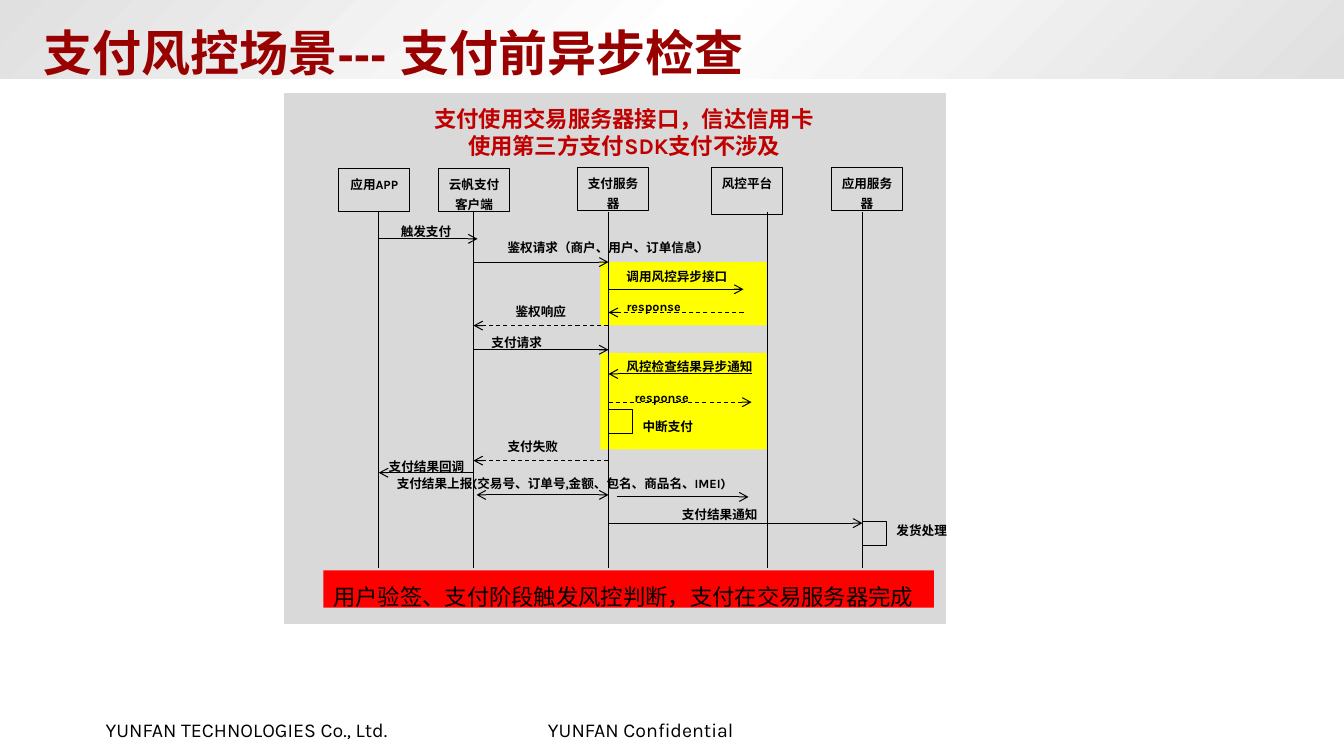
"""Build the payment risk-control sequence diagram slide."""
from copy import deepcopy
from dataclasses import dataclass

from lxml.etree import SubElement
from pptx import Presentation
from pptx.dml.color import RGBColor
from pptx.enum.dml import MSO_LINE_DASH_STYLE as DASH
from pptx.enum.lang import MSO_LANGUAGE_ID as LANG
from pptx.enum.shapes import MSO_CONNECTOR as CONN, MSO_SHAPE as SHAPE
from pptx.enum.text import MSO_ANCHOR, MSO_AUTO_SIZE, PP_ALIGN
from pptx.oxml.ns import qn
from pptx.util import Inches, Pt


@dataclass(frozen=True)
class Theme:
    black: str = "000000"
    white: str = "FFFFFF"
    title: str = "990000"
    heading: str = "C00000"
    panel: str = "D9D9D9"
    highlight: str = "FFFF00"
    banner: str = "FF0000"
    edge: str = "E0E0E0"
    font: str = "Karla"
    title_font: str = "Arial"
    cjk_font: str = "Noto Sans CJK SC"
    title_size: int = 35
    heading_size: int = 16
    footer_size: int = 14
    label_size: int = 9
    line_width: float = 0.75
    spacing: float = 1.3


T = Theme()
TITLE = "支付风控场景--- 支付前异步检查"
HEADING = ["支付使用交易服务器接口，信达信用卡", "使用第三方支付SDK支付不涉及"]
BANNER = "用户验签、支付阶段触发风控判断，支付在交易服务器完成"
FOOTERS = [("YUNFAN TECHNOLOGIES Co., Ltd.", 0.95, 3.26), ("YUNFAN Confidential", 5.34, 2.18)]

APP, CLIENT, SERVER, RISK, SHOP = 3.76, 4.7, 6.04, 7.62, 8.56
LIFE_TOP, LIFE_END = 2.1, 5.64
ACTORS = [
    ("应用APP", APP, 3.36, 1.67, 0.43),
    ("云帆支付客户端", CLIENT, 4.35, 1.67, 0.43),
    ("支付服务器", SERVER, 5.73, 1.66, 0.43),
    ("风控平台", RISK, 7.06, 1.66, 0.47),
    ("应用服务器", SHOP, 8.25, 1.66, 0.43),
]
HIGHLIGHTS = [(2.6, 0.63), (3.5, 0.96)]
SELF_CALLS = [(SERVER, 4.06), (SHOP, 5.17)]
MESSAGES = [
    (APP, 4.74, 2.37, "solid"),
    (CLIENT, SERVER, 2.6, "solid"),
    (SERVER, 7.38, 2.87, "solid"),
    (7.38, SERVER, 3.1, "dash"),
    (SERVER, CLIENT, 3.23, "dash"),
    (CLIENT, SERVER, 3.47, "solid"),
    (7.46, SERVER, 3.71, "solid"),
    (SERVER, 7.46, 3.99, "dash"),
    (SERVER, CLIENT, 4.57, "dash"),
    (CLIENT, APP, 4.69, "solid"),
    (SERVER, 4.73, 4.91, "both"),
    (6.12, 7.43, 4.93, "solid"),
    (SERVER, SHOP, 5.19, "solid"),
]
LABELS = [
    ("触发支付", 3.88, 2.13, 1.14),
    ("鉴权请求（商户、用户、订单信息）", 4.94, 2.29, 2.76),
    ("调用风控异步接口", 6.12, 2.57, 1.5),
    ("response", 6.12, 2.87, 1.02),
    ("鉴权响应", 5.02, 2.92, 0.94),
    ("支付请求", 4.78, 3.23, 1.82),
    ("风控检查结果异步通知", 6.12, 3.47, 1.57),
    ("response", 6.2, 3.77, 1.02),
    ("中断支付", 6.28, 4.06, 1.73),
    ("支付失败", 4.94, 4.26, 0.94),
    ("支付结果回调", 3.76, 4.46, 1.18),
    ("支付结果上报(交易号、订单号,金额、包名、商品名、IMEI)", 3.84, 4.63, 3.7),
    ("支付结果通知", 6.67, 4.93, 1.27),
    ("发货处理", 8.8, 5.09, 0.87),
]


def rgb(value):
    return RGBColor.from_string(value)


def write(sp, lines, size, color=T.black, font=T.font, bold=True,
          align=PP_ALIGN.LEFT, spacing=T.spacing, inset=(0.1, 0.05), wrap=True):
    tf = sp.text_frame
    dx, dy = map(Inches, inset)
    frame = dict(word_wrap=wrap, auto_size=MSO_AUTO_SIZE.NONE, vertical_anchor=MSO_ANCHOR.TOP,
                 margin_left=dx, margin_right=dx, margin_top=dy, margin_bottom=dy)
    for name, value in frame.items():
        setattr(tf, name, value)
    for i, line in enumerate(lines):
        p = tf.paragraphs[0] if i == 0 else tf.add_paragraph()
        p.alignment, p.line_spacing = align, spacing
        r = p.add_run()
        r.text = line
        r.font.color.rgb = rgb(color)
        style = dict(size=Pt(size), name=font, bold=bold, language_id=LANG.SIMPLIFIED_CHINESE)
        for name, value in style.items():
            setattr(r.font, name, value)
        SubElement(r.font._element, qn("a:ea"), typeface=T.cjk_font)


def text(s, lines, box, size, **style):
    write(s.shapes.add_textbox(*map(Inches, box)), lines, size, **style)


def rect(s, box, fill=None, line=None):
    sp = s.shapes.add_shape(SHAPE.RECTANGLE, *map(Inches, box))
    sp.shadow.inherit = False
    if fill:
        sp.fill.solid()
        sp.fill.fore_color.rgb = rgb(fill)
    else:
        sp.fill.background()
    if line:
        sp.line.color.rgb = rgb(line)
        sp.line.width = Pt(T.line_width)
    else:
        sp.line.fill.background()
    return sp


def line(s, start, end, kind="plain"):
    c = s.shapes.add_connector(CONN.STRAIGHT, *map(Inches, (*start, *end)))
    c.line.color.rgb = rgb(T.black)
    c.line.width = Pt(T.line_width)
    if kind == "dash":
        c.line.dash_style = DASH.DASH
    ends = {"plain": [], "both": ["a:headEnd", "a:tailEnd"]}.get(kind, ["a:tailEnd"])
    for tag in ends:
        SubElement(c.line._get_or_add_ln(), qn(tag), type="arrow")
    SubElement(c._element.spPr, qn("a:effectLst"))


def header(s, title):
    bar = rect(s, (0, 0, 13.34, 0.78))
    bar.fill.gradient()
    bar.fill.gradient_angle = 315
    stops = next(bar._element.iter(qn("a:gsLst")))
    stops.insert(1, deepcopy(stops[0]))
    for stop, color, pos in zip(bar.fill.gradient_stops, (T.edge, T.white, T.edge), (0, 0.5, 1)):
        stop.color.rgb = rgb(color)
        stop.position = pos
    title._element.addprevious(bar._element)
    title.left, title.top, title.width, title.height = map(Inches, (0.33, 0, 12.67, 0.87))
    write(title, [TITLE], T.title_size, color=T.title, font=T.title_font)


def main():
    prs = Presentation()
    prs.slide_width, prs.slide_height = Inches(13.34), Inches(7.5)
    s = prs.slides.add_slide(prs.slide_layouts[5])
    header(s, s.shapes.title)
    for footer, x, w in FOOTERS:
        text(s, [footer], (x, 7.07, w, 0.34), T.footer_size, bold=False, spacing=1, wrap=False)

    rect(s, (2.81, 0.92, 6.59, 5.28), T.panel, T.white)
    for y, h in HIGHLIGHTS:
        rect(s, (5.96, y, 1.65, h), T.highlight)
    banner = rect(s, (3.21, 5.66, 6.06, 0.37), T.banner)
    write(banner, [BANNER], T.heading_size, font=T.cjk_font, bold=False)
    text(s, HEADING, (3.28, 0.99, 5.83, 0.91), T.heading_size, color=T.heading,
         align=PP_ALIGN.CENTER, spacing=1)

    for name, lane, x, y, h in ACTORS:
        write(rect(s, (x, y, 0.71, h), line=T.black), [name], T.label_size,
              align=PP_ALIGN.CENTER, inset=(0.09, 0.04))
        line(s, (lane, LIFE_TOP), (lane, LIFE_END))
    for x, y in SELF_CALLS:
        rect(s, (x, y, 0.24, 0.24), line=T.black)
    for x1, x2, y, kind in MESSAGES:
        line(s, (x1, y), (x2, y), kind)
    for label, x, y, w in LABELS:
        text(s, [label], (x, y, w, 0.3), T.label_size)
    prs.save("out.pptx")


if __name__ == "__main__":
    main()
